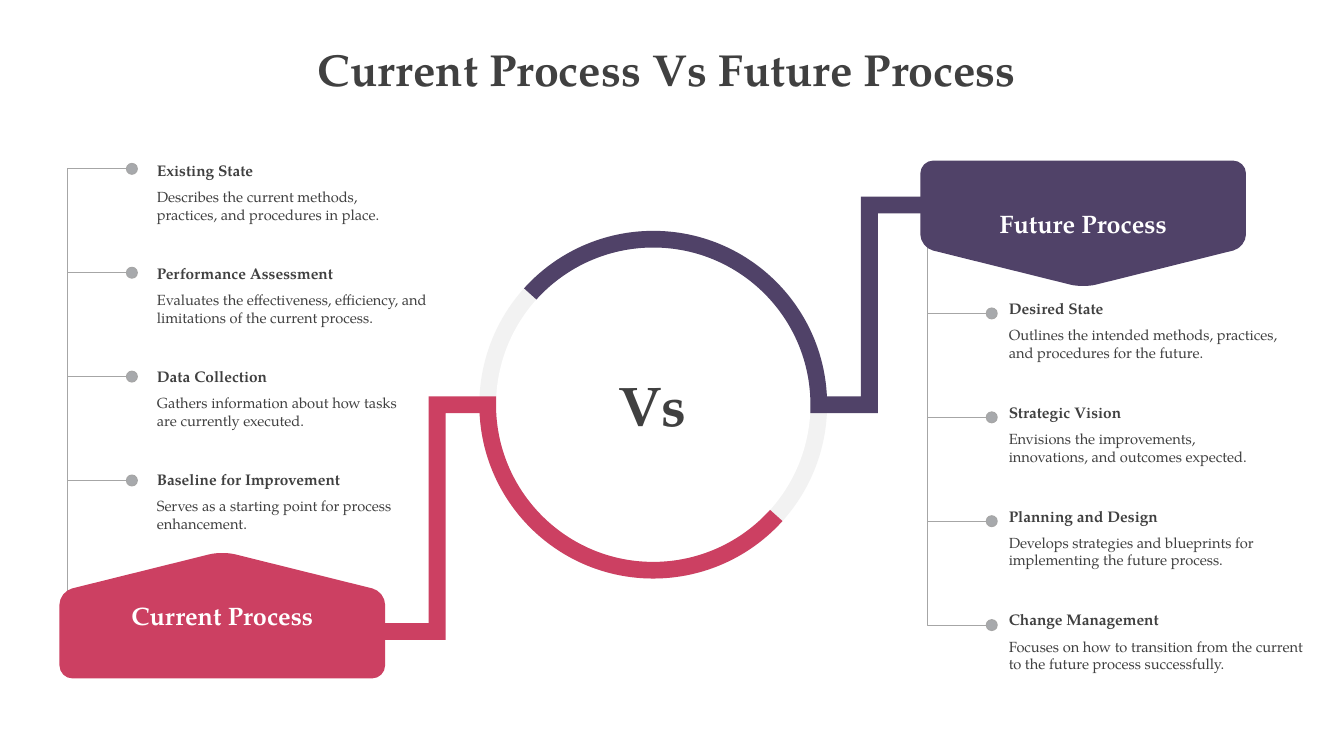
from dataclasses import dataclass
from math import cos, radians, sin, tan

from lxml import etree
from pptx import Presentation
from pptx.dml.color import RGBColor
from pptx.enum.shapes import MSO_CONNECTOR, MSO_SHAPE
from pptx.enum.text import MSO_ANCHOR, MSO_AUTO_SIZE, PP_ALIGN
from pptx.oxml.ns import qn
from pptx.util import Pt

STRAIGHT = MSO_CONNECTOR.STRAIGHT
OVAL = MSO_SHAPE.OVAL
MIDDLE = MSO_ANCHOR.MIDDLE
GROW = MSO_AUTO_SIZE.SHAPE_TO_FIT_TEXT
LEFT, CENTER = PP_ALIGN.LEFT, PP_ALIGN.CENTER


@dataclass(frozen=True)
class Theme:
    """Colours, font and type sizes of the slide."""
    font: str = "TeX Gyre Pagella"
    ink: str = "404040"
    white: str = "FFFFFF"
    track: str = "F2F2F2"
    rule: str = "A6A6A6"
    dot: str = "A7A9AC"
    plum: str = "504268"
    rose: str = "CC4062"
    title: float = 32
    versus: float = 40
    banner: float = 18
    head: float = 11
    body: float = 10.5


THEME = Theme()
HUB = (466.6, 289.1)
OUTER, INNER = 124.2, 112.3
STEP = 74.2

CURRENT = [
    ("Existing State", "Describes the current methods, practices, and procedures in place.", 196),
    ("Performance Assessment",
     "Evaluates the effectiveness, efficiency, and limitations of the current process.", 213),
    ("Data Collection", "Gathers information about how tasks are currently executed.", 196),
    ("Baseline for Improvement", "Serves as a starting point for process enhancement.", 196),
]
FUTURE = [
    ("Desired State", "Outlines the intended methods, practices, and procedures for the future.", 218),
    ("Strategic Vision", "Envisions the improvements, innovations, and outcomes expected.", 202),
    ("Planning and Design",
     "Develops strategies and blueprints for implementing the future process.", 202),
    ("Change Management",
     "Focuses on how to transition from the current to the future process successfully.", 232.5),
]


def write(para, text, size, color=THEME.ink, bold=True, align=LEFT, after=0):
    """Put formatted text into a paragraph."""
    para.alignment = align
    para.space_after = Pt(after)
    run = para.add_run()
    run.text = text
    run.font.name = THEME.font
    run.font.size = Pt(size)
    run.font.bold = bold
    run.font.color.rgb = RGBColor.from_string(color)


def add_box(slide, left, top, width, height):
    """Add a wrapping text box and return its frame."""
    box = slide.shapes.add_textbox(Pt(left), Pt(top), Pt(width), Pt(height))
    frame = box.text_frame
    frame.word_wrap = True
    frame.auto_size = GROW
    return frame


def paint(shape, fill=None, line=None, width=0.75):
    """Give a shape a flat fill, a thin outline, or both."""
    shape.shadow.inherit = False
    if fill:
        shape.fill.solid()
        shape.fill.fore_color.rgb = RGBColor.from_string(fill)
    else:
        shape.fill.background()
    if line:
        shape.line.color.rgb = RGBColor.from_string(line)
        shape.line.width = Pt(width)
    else:
        shape.line.fill.background()


def add_disc(slide, x, y, radius, fill, line=None):
    """Add a circle around a centre."""
    side = Pt(2 * radius)
    disc = slide.shapes.add_shape(OVAL, Pt(x - radius), Pt(y - radius), side, side)
    paint(disc, fill, line)


def add_rule(slide, x1, y1, x2, y2):
    """Add a thin grey line."""
    rule = slide.shapes.add_connector(STRAIGHT, Pt(x1), Pt(y1), Pt(x2), Pt(y2))
    rule.line.color.rgb = RGBColor.from_string(THEME.rule)
    rule.line.width = Pt(0.62)
    etree.SubElement(rule.element.spPr, qn("a:effectLst"))


def add_form(slide, steps, origin=(0, 0), sign=1, close=True):
    """Add an outline of one-point lines and three-point curves around an origin."""
    spots = [(Pt(origin[0] + sign * x), Pt(origin[1] + sign * y))
             for step in steps for x, y in step]
    maker = slide.shapes.build_freeform(*spots[0])
    maker.add_line_segments(spots[1:], close=close)
    form = maker.convert_to_shape()
    nodes = iter(list(form.element.iter(qn("a:lnTo"))))
    for step in steps[1:]:
        group = [next(nodes) for _ in step]
        if len(group) == 3:
            group[0].tag
            curve = etree.Element(qn("a:cubicBezTo"))
            group[0].addprevious(curve)
            for node in group:
                curve.append(node[0])
                node.getparent().remove(node)
    return form


def arc(radius, start, end):
    """Return a curve along a circle between two angles in degrees."""
    a, b = radians(start), radians(end)
    k = 4 / 3 * tan((b - a) / 4)
    return [(radius * (cos(a) - k * sin(a)), -radius * (sin(a) + k * cos(a))),
            (radius * (cos(b) + k * sin(b)), -radius * (sin(b) - k * cos(b))),
            (radius * cos(b), -radius * sin(b))]


def add_pipe(slide, sign, drop, fill):
    """Add a ring segment with its stepped arm to a banner."""
    half, near, far, end = 6, 148.3, 160.4, 193
    tail = arc(OUTER, 138, 90)
    lip = (OUTER * cos(radians(138)), -OUTER * sin(radians(138)))
    steps = [[(far, half)], [(INNER, half)], [(INNER, 0)],
             arc(INNER, 0, 90), arc(INNER, 90, 138), [lip],
             tail, arc(OUTER, 90, 2.77),
             [(near, -half)], [(near, -drop)], [(end, -drop)],
             [(end, 12 - drop)], [(far, 12 - drop)]]
    paint(add_form(slide, steps, HUB, sign), fill)


def bend(before, corner, after, cut=9.3):
    """Return the start and the curve of one rounded corner."""
    def toward(point, size):
        """Step from the corner toward a point."""
        dx, dy = point[0] - corner[0], point[1] - corner[1]
        share = size / (dx * dx + dy * dy) ** 0.5
        return corner[0] + dx * share, corner[1] + dy * share

    pull = cut * 0.45
    return [[toward(before, cut)],
            [toward(before, pull), toward(after, pull), toward(after, cut)]]


def add_banner(slide, text, origin, sign, fill):
    """Add a rounded pentagon that holds a heading."""
    half, side, tip = 116.3, 62, 90.9
    nooks = [(-half, 0), (half, 0), (half, side), (0, tip), (-half, side)]
    steps = []
    for i, nook in enumerate(nooks):
        steps += bend(nooks[i - 1], nook, nooks[(i + 1) % len(nooks)])
    form = add_form(slide, steps, origin, sign)
    paint(form, fill)
    frame = form.text_frame
    frame.word_wrap = True
    frame.vertical_anchor = MIDDLE
    write(frame.paragraphs[0], text, THEME.banner, color=THEME.white, align=CENTER)


def add_tree(slide, x, top, root, last):
    """Add four dots on ticks, with a spine from the root to the last of them."""
    tip = x + 46
    for i in range(4):
        y = top + i * STEP
        if i == last:
            spine = add_form(slide, [[(x, root)], [(x, y)], [(tip, y)]], close=False)
            paint(spine, line=THEME.rule, width=0.62)
        else:
            add_rule(slide, tip, y, x, y)
        add_disc(slide, tip, y, 3.9, THEME.dot, line=THEME.rule)


def add_notes(slide, notes, left, top, step):
    """Add a column of headed notes."""
    for i, (head, body, width) in enumerate(notes):
        frame = add_box(slide, left, top + i * step, width, 51.8)
        write(frame.paragraphs[0], head, THEME.head, after=6)
        write(frame.add_paragraph(), body, THEME.body, bold=False)


def main():
    """Build the slide and save it."""
    deck = Presentation()
    deck.slide_width, deck.slide_height = Pt(960), Pt(540)
    slide = deck.slides.add_slide(deck.slide_layouts[6])
    title = add_box(slide, 0, 26.6, 953, 46)
    write(title.paragraphs[0], "Current Process Vs Future Process", THEME.title, align=CENTER)
    add_tree(slide, 662.4, 223.9, 166.3, 3)
    add_tree(slide, 48.2, 120.6, 427, 0)
    add_disc(slide, *HUB, OUTER, THEME.track)
    add_disc(slide, *HUB, INNER, THEME.white)
    add_pipe(slide, 1, 148.7, THEME.plum)
    add_banner(slide, "Future Process", (773.7, 114.7), 1, THEME.plum)
    add_pipe(slide, -1, 168, THEME.rose)
    add_banner(slide, "Current Process", (158.8, 484.6), -1, THEME.rose)
    versus = add_box(slide, 408.6, 261.4, 115.2, 55.4)
    write(versus.paragraphs[0], "Vs", THEME.versus, align=CENTER)
    add_notes(slide, CURRENT, 105, 111.4, 73.6)
    add_notes(slide, FUTURE, 713.5, 210.2, 74.1)
    deck.save("out.pptx")


if __name__ == "__main__":
    main()
